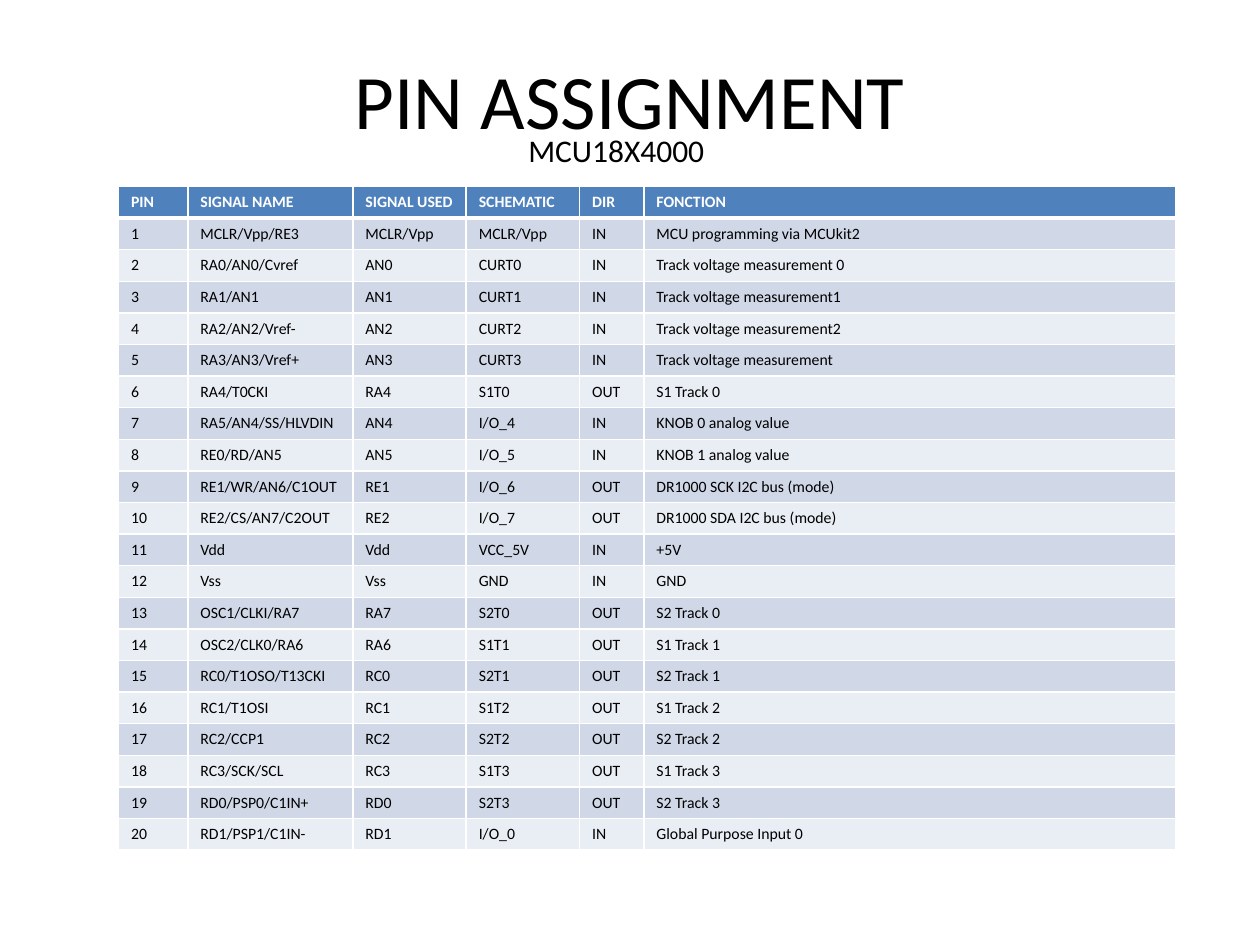
import pptx
import pptx.dml.color
import pptx.enum.text
import pptx.oxml
import pptx.oxml.ns
import pptx.util

Inches, Pt = pptx.util.Inches, pptx.util.Pt
RGBColor = pptx.dml.color.RGBColor
Anchor = pptx.enum.text.MSO_ANCHOR

# Content
HEADINGS = ("PIN", "SIGNAL NAME", "SIGNAL USED", "SCHEMATIC", "DIR", "FONCTION")
SIGNALS = [  # in pin order, from pin 1
    ("MCLR/Vpp/RE3", "MCLR/Vpp", "MCLR/Vpp", "IN", "MCU programming via MCUkit2"),
    ("RA0/AN0/Cvref", "AN0", "CURT0", "IN", "Track voltage measurement 0"),
    ("RA1/AN1", "AN1", "CURT1", "IN", "Track voltage measurement1"),
    ("RA2/AN2/Vref-", "AN2", "CURT2", "IN", "Track voltage measurement2"),
    ("RA3/AN3/Vref+", "AN3", "CURT3", "IN", "Track voltage measurement"),
    ("RA4/T0CKI", "RA4", "S1T0", "OUT", "S1 Track 0"),
    ("RA5/AN4/SS/HLVDIN", "AN4", "I/O_4", "IN", "KNOB 0 analog value"),
    ("RE0/RD/AN5", "AN5", "I/O_5", "IN", "KNOB 1 analog value"),
    ("RE1/WR/AN6/C1OUT", "RE1", "I/O_6", "OUT", "DR1000 SCK I2C bus (mode)"),
    ("RE2/CS/AN7/C2OUT", "RE2", "I/O_7", "OUT", "DR1000 SDA I2C bus (mode)"),
    ("Vdd", "Vdd", "VCC_5V", "IN", "+5V"),
    ("Vss", "Vss", "GND", "IN", "GND"),
    ("OSC1/CLKI/RA7", "RA7", "S2T0", "OUT", "S2 Track 0"),
    ("OSC2/CLK0/RA6", "RA6", "S1T1", "OUT", "S1 Track 1"),
    ("RC0/T1OSO/T13CKI", "RC0", "S2T1", "OUT", "S2 Track 1"),
    ("RC1/T1OSI", "RC1", "S1T2", "OUT", "S1 Track 2"),
    ("RC2/CCP1", "RC2", "S2T2", "OUT", "S2 Track 2"),
    ("RC3/SCK/SCL", "RC3", "S1T3", "OUT", "S1 Track 3"),
    ("RD0/PSP0/C1IN+", "RD0", "S2T3", "OUT", "S2 Track 3"),
    ("RD1/PSP1/C1IN-", "RD1", "I/O_0", "IN", "Global Purpose Input 0"),
]
CAPTIONS = [  # text, left, top, width, height, size, anchor
    ("PIN ASSIGNMENT", 0.5, 0.16, 9, 1.25, 44, Anchor.MIDDLE),
    ("MCU18X4000 ", 3.54, 0.99, 2.76, 0.4, 18, Anchor.TOP),
]

# Look
BLACK = RGBColor(0x00, 0x00, 0x00)
WHITE = RGBColor(0xFF, 0xFF, 0xFF)
HEADER_BLUE = RGBColor(0x4F, 0x81, 0xBD)
BANDS = (RGBColor(0xE9, 0xED, 0xF4), RGBColor(0xD0, 0xD8, 0xE8))
COLUMN_WIDTHS = (0.55, 1.31, 0.9, 0.9, 0.51, 4.22)
ROW_HEIGHT = 0.25
TABLE_LEFT, TABLE_TOP = 0.94, 1.48


def write(text_frame, text, size, color, bold=False):
    run = text_frame.paragraphs[0].add_run()
    run.text = text
    run.font.color.rgb = color
    for name, value in {"name": "Calibri", "size": Pt(size), "bold": bold}.items():
        setattr(run.font, name, value)


def set_borders(cell, widths):
    properties = cell._tc.get_or_add_tcPr()
    for position, (side, width) in enumerate(widths.items()):
        line = pptx.oxml.parse_xml(
            f'<a:ln{side} {pptx.oxml.ns.nsdecls("a")} w="{Pt(width)}">'
            f'<a:solidFill><a:srgbClr val="{WHITE}"/></a:solidFill></a:ln{side}>')
        properties.insert(position, line)


presentation = pptx.Presentation()
presentation.slide_width, presentation.slide_height = Inches(10), Inches(7.5)
slide = presentation.slides.add_slide(presentation.slide_layouts[6])

# Title and subtitle
for text, left, top, width, height, size, anchor in CAPTIONS:
    box = slide.shapes.add_textbox(*map(Inches, (left, top, width, height)))
    box.text_frame.word_wrap = True
    box.text_frame.vertical_anchor = anchor
    write(box.text_frame, text, size, BLACK)
    box.text_frame.paragraphs[0].alignment = pptx.enum.text.PP_ALIGN.CENTER

# Pin table
rows = [HEADINGS] + [(str(pin), *signal) for pin, signal in enumerate(SIGNALS, 1)]
table = slide.shapes.add_table(
    len(rows), len(HEADINGS), Inches(TABLE_LEFT), Inches(TABLE_TOP),
    Inches(sum(COLUMN_WIDTHS)), Inches(ROW_HEIGHT * len(rows))).table
for column, width in zip(table.columns, COLUMN_WIDTHS):
    column.width = Inches(width)
for row_index, row in enumerate(rows):
    table.rows[row_index].height = Inches(ROW_HEIGHT)
    header = row_index == 0
    for column_index, text in enumerate(row):
        cell = table.cell(row_index, column_index)
        cell.fill.solid()
        cell.fill.fore_color.rgb = HEADER_BLUE if header else BANDS[row_index % 2]
        write(cell.text_frame, text, 9, WHITE if header else BLACK, header)
        set_borders(cell, {"L": 1, "R": 1, "T": 3 if row_index == 1 else 1,
                           "B": 3 if header else 1})

presentation.save("out.pptx")
